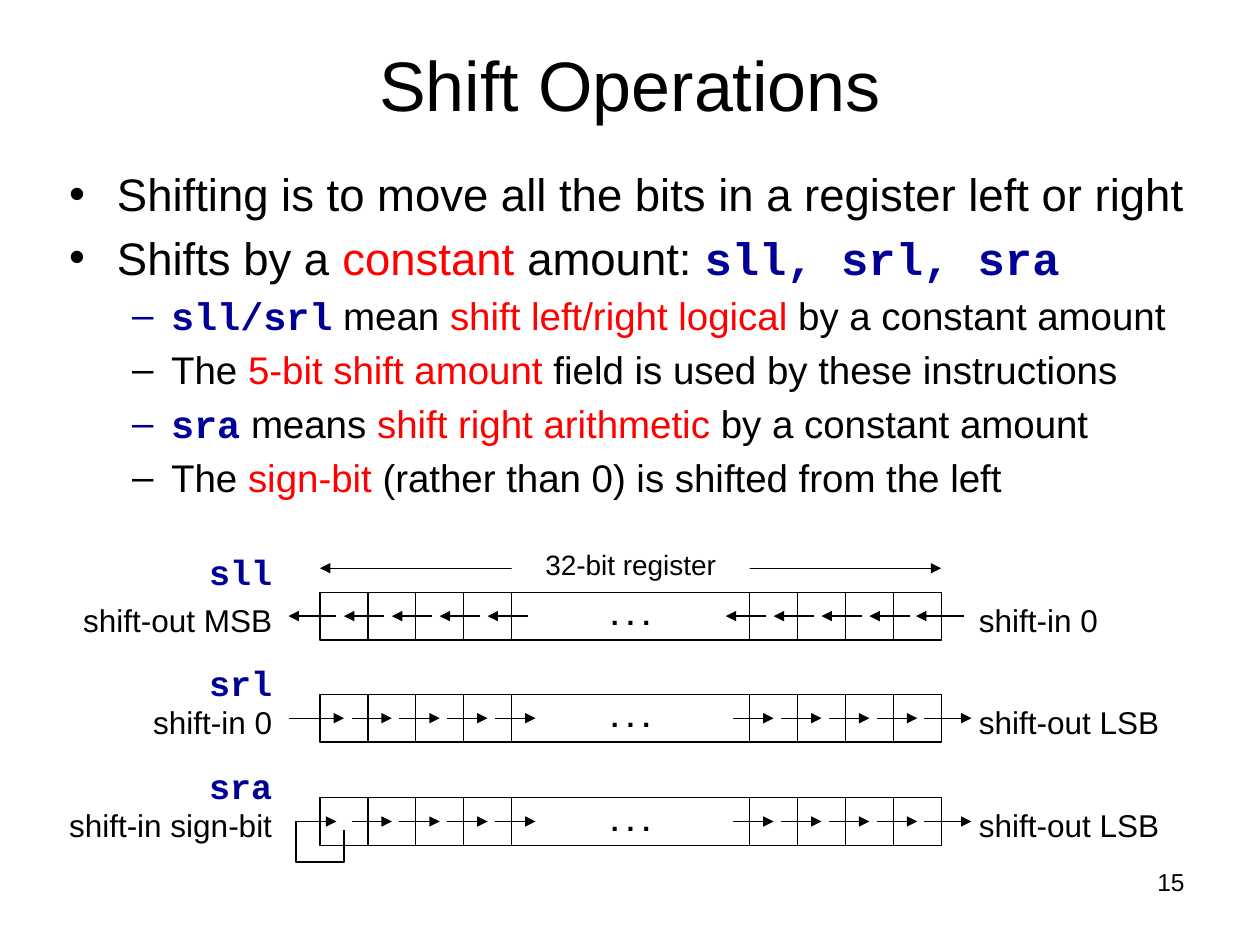
from lxml.etree import SubElement
from pptx import Presentation
from pptx.dml.color import RGBColor
from pptx.enum.shapes import MSO_CONNECTOR as CONNECTOR, MSO_SHAPE as SHAPE
from pptx.enum.text import MSO_ANCHOR as ANCHOR, PP_ALIGN as ALIGN
from pptx.oxml.ns import qn
from pptx.util import Inches, Pt

COLORS = {"text": "000000", "key": "FF0000", "code": "000099", "paper": "FFFFFF"}
CELL = 0.38
CELLS_PER_SIDE = 4
MIDDLE = 1.89
REGISTER = 2 * CELLS_PER_SIDE * CELL + MIDDLE
INSETS = (0, 0.05, 0, 0.05)


def rgb(name):
    """Return the named palette colour."""
    return RGBColor.from_string(COLORS[name])


def add_runs(paragraph, runs, size):
    """Add (text, style) runs, where style is text, key or code."""
    for text, style in runs:
        run = paragraph.add_run()
        run.text = text
        run.font.size = Pt(size)
        run.font.name = "Courier New" if style == "code" else "Arial"
        run.font.bold = style == "code"
        run.font.color.rgb = rgb(style)


def space_before(paragraph, percent):
    """Set the space before a paragraph as a share of its line."""
    spacing = SubElement(paragraph._p.get_or_add_pPr(), qn("a:spcBef"))
    SubElement(spacing, qn("a:spcPct")).set("val", str(percent * 1000))


def write(shape, text, size=18, style="text", align=ALIGN.LEFT, anchor=ANCHOR.MIDDLE,
          insets=INSETS, line_spacing=None, before=None, bold=False, raised=0):
    """Write one formatted paragraph into a shape."""
    frame = shape.text_frame
    frame.word_wrap = True
    frame.vertical_anchor = anchor
    frame.margin_left, frame.margin_top, frame.margin_right, frame.margin_bottom = map(Inches, insets)
    paragraph = frame.paragraphs[0]
    paragraph.alignment = align
    if line_spacing:
        paragraph.line_spacing = line_spacing
    if before:
        space_before(paragraph, before)
    add_runs(paragraph, [(text, style)], size)
    run = paragraph.runs[0]
    run.font.bold = bold or style == "code"
    if raised:
        run._r.get_or_add_rPr().set("baseline", str(raised * 1000))


def add_label(shapes, box, text, **style):
    """Add a text box at box (left, top, width, height)."""
    write(shapes.add_textbox(*map(Inches, box)), text, **style)


def add_box(shapes, box, fill=None):
    """Add a rectangle: outlined, or filled without an outline."""
    shape = shapes.add_shape(SHAPE.RECTANGLE, *map(Inches, box))
    shape.shadow.inherit = False
    if fill:
        shape.fill.solid()
        shape.fill.fore_color.rgb = rgb(fill)
        shape.line.fill.background()
    else:
        shape.fill.background()
        draw_line(shape)
    return shape


def draw_line(shape, ends=()):
    """Give a shape a thin line with arrowheads at the named ends."""
    shape.line.color.rgb = rgb("text")
    shape.line.width = Pt(0.75)
    for end in ends:
        SubElement(shape.get_or_add_ln(), qn(f"a:{end}")).set("type", "triangle")


def add_arrow(shapes, start, end, y, ends=("tailEnd",)):
    """Add a horizontal arrow from start to end."""
    arrow = shapes.add_connector(CONNECTOR.STRAIGHT, *map(Inches, (start, y, end, y)))
    draw_line(arrow, ends)
    SubElement(arrow._element.spPr, qn("a:effectLst"))


def add_bullets(slide, box, items):
    """Add the two-level bullet list; items are (level, runs)."""
    formats = [(26, 0.38, 0.38, "\u2022"), (22, 0.81, 0.31, "\u2013")]
    frame = slide.shapes.add_textbox(*map(Inches, box)).text_frame
    frame.word_wrap = True
    for index, (level, runs) in enumerate(items):
        size, margin, hanging, bullet = formats[level]
        paragraph = frame.add_paragraph() if index else frame.paragraphs[0]
        paragraph.level = level
        properties = paragraph._p.get_or_add_pPr()
        properties.set("marL", str(Inches(margin)))
        properties.set("indent", str(-Inches(hanging)))
        space_before(paragraph, 20)
        SubElement(properties, qn("a:buFont")).set("typeface", "Arial")
        SubElement(properties, qn("a:buChar")).set("char", bullet)
        add_runs(paragraph, runs, size)


def add_sign_loop(shapes, left, y):
    """Add the line that feeds the sign bit back into the first cell."""
    points = [(left + dx, y + dy) for dx, dy in
              [(0.19, 0.07), (0.19, 0.32), (-0.19, 0.32), (-0.19, 0), (0.13, 0)]]
    (start_x, start_y), *rest = [tuple(map(Inches, point)) for point in points]
    builder = shapes.build_freeform(start_x, start_y)
    builder.add_line_segments(rest, close=False)
    loop = builder.convert_to_shape()
    loop.shadow.inherit = False
    loop.fill.background()
    draw_line(loop, ["tailEnd"])


def add_register(slide, left, top, name, left_text, right_text, name_rise=0.25,
                 leftward=False, sign_loop=False):
    """Add one shift row whose first cell starts at left, top."""
    shapes = slide.shapes.add_group_shape().shapes
    y = top + CELL / 2
    middle = left + CELLS_PER_SIDE * CELL
    for side in (left, middle + MIDDLE):
        for index in range(CELLS_PER_SIDE):
            add_box(shapes, (side + index * CELL, top, CELL, CELL))
    write(add_box(shapes, (middle, top, MIDDLE, CELL)), ". . .", size=28, bold=True,
          align=ALIGN.CENTER, before=50, raised=20)

    shift = 0 if leftward else 0.06
    spans = [(side + shift + index * CELL, 0.32)
             for side in (0.19, 3.22) for index in range(CELLS_PER_SIDE)]
    spans.append((4.73 + shift, CELL))
    if sign_loop:
        add_sign_loop(shapes, left, y)
    else:
        spans.append((-0.25, CELL + shift))
    for offset, length in spans:
        ends = (left + offset, left + offset + length)
        add_arrow(shapes, *(ends[::-1] if leftward else ends), y)

    add_label(shapes, (left - 2.08, top, 1.7, CELL), left_text, align=ALIGN.RIGHT, line_spacing=1.2)
    add_label(shapes, (left + 5.23, top, 1.64, CELL), right_text, line_spacing=1.2)
    add_label(shapes, (left - 1.13, top - name_rise, 0.75, 0.31), name, size=20, style="code",
              align=ALIGN.RIGHT, before=50)


def add_width_marker(slide, left, top):
    """Add the double arrow that names the register width."""
    add_arrow(slide.shapes, left, left + REGISTER, top + 0.19, ("headEnd", "tailEnd"))
    label = add_box(slide.shapes, (left + CELLS_PER_SIDE * CELL, top, MIDDLE, 0.32), fill="paper")
    write(label, "32-bit register", size=16, align=ALIGN.CENTER, before=50)


def build_slide(presentation):
    """Build the shift operations slide."""
    slide = presentation.slides.add_slide(presentation.slide_layouts[6])
    padding = (0.1, 0.05, 0.1, 0.05)
    add_label(slide.shapes, (0.5, 0.04, 9, 1.25), "Shift Operations", size=40,
              align=ALIGN.CENTER, insets=padding)
    add_bullets(slide, (0.45, 1.27, 9.38, 3), [
        (0, [("Shifting is to move all the bits in a register left or right", "text")]),
        (0, [("Shifts by a ", "text"), ("constant", "key"), (" amount: ", "text"),
             ("sll, srl, sra", "code")]),
        (1, [("sll/srl", "code"), (" mean ", "text"), ("shift left/right logical", "key"),
             (" by a constant amount", "text")]),
        (1, [("The ", "text"), ("5-bit shift amount", "key"),
             (" field is used by these instructions", "text")]),
        (1, [("sra", "code"), (" means ", "text"), ("shift right arithmetic", "key"),
             (" by a constant amount", "text")]),
        (1, [("The ", "text"), ("sign-bit ", "key"),
             ("(rather than 0) is shifted from the left", "text")]),
    ])
    left = 2.54
    add_width_marker(slide, left, 4.32)
    add_register(slide, left, 4.7, "sll", "shift-out MSB", "shift-in 0", name_rise=0.32, leftward=True)
    add_register(slide, left, 5.51, "srl", "shift-in 0", "shift-out LSB")
    add_register(slide, left, 6.33, "sra", "shift-in sign-bit", "shift-out LSB", sign_loop=True)
    add_label(slide.shapes, (7.17, 6.83, 2.33, 0.52), "15", size=14, align=ALIGN.RIGHT,
              anchor=ANCHOR.TOP, insets=padding)


presentation = Presentation()
presentation.slide_width, presentation.slide_height = Inches(10), Inches(7.5)
build_slide(presentation)
presentation.save("out.pptx")
